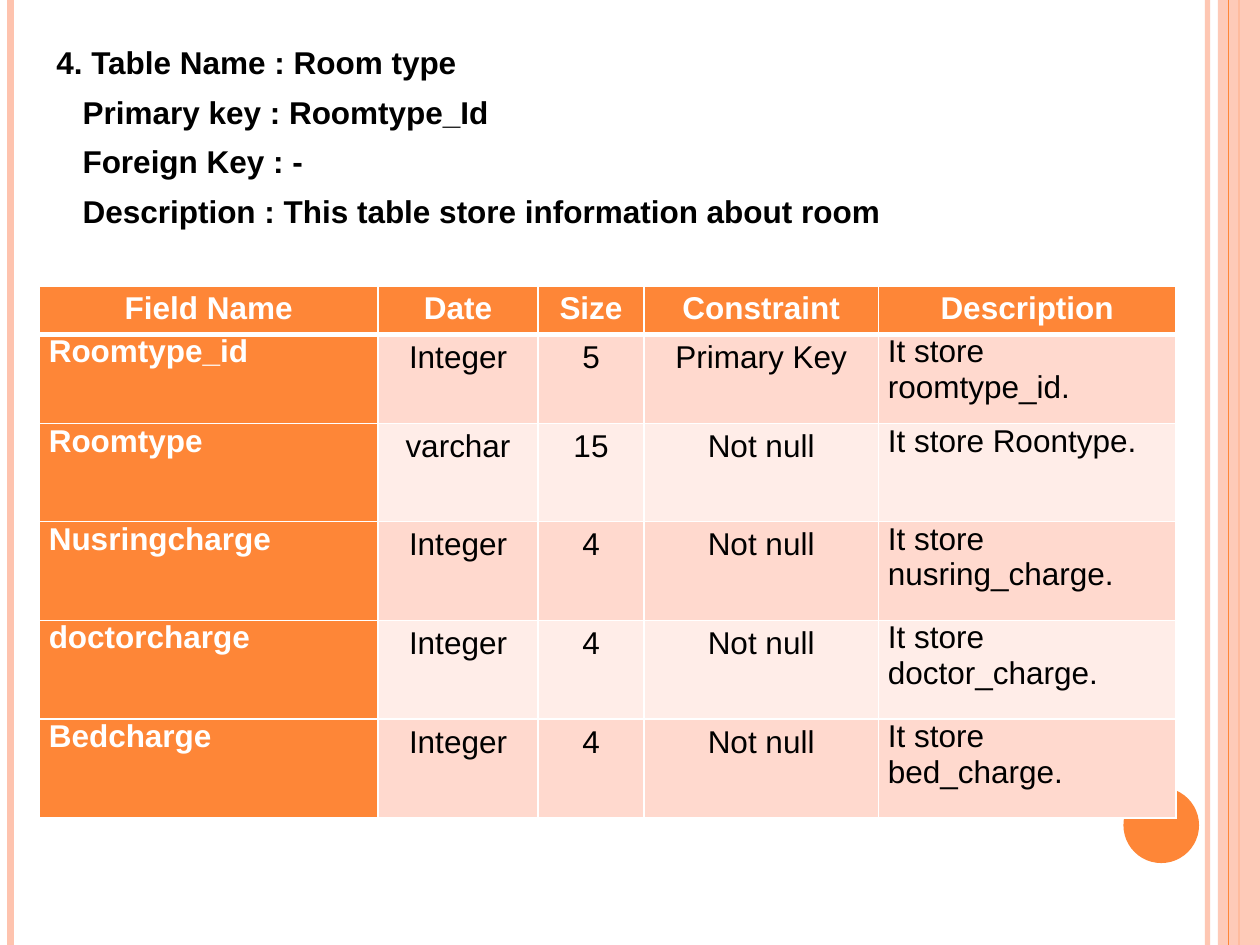
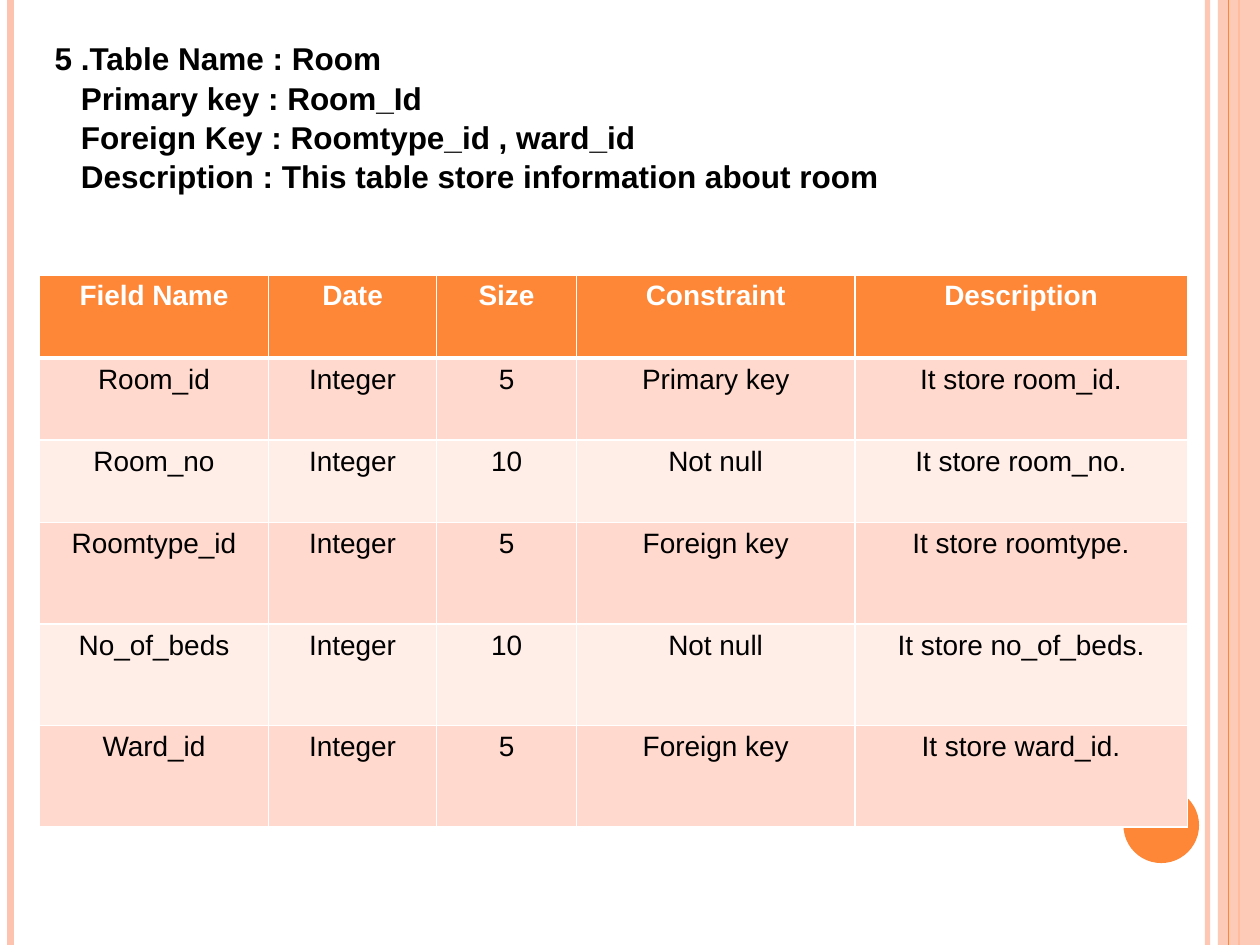
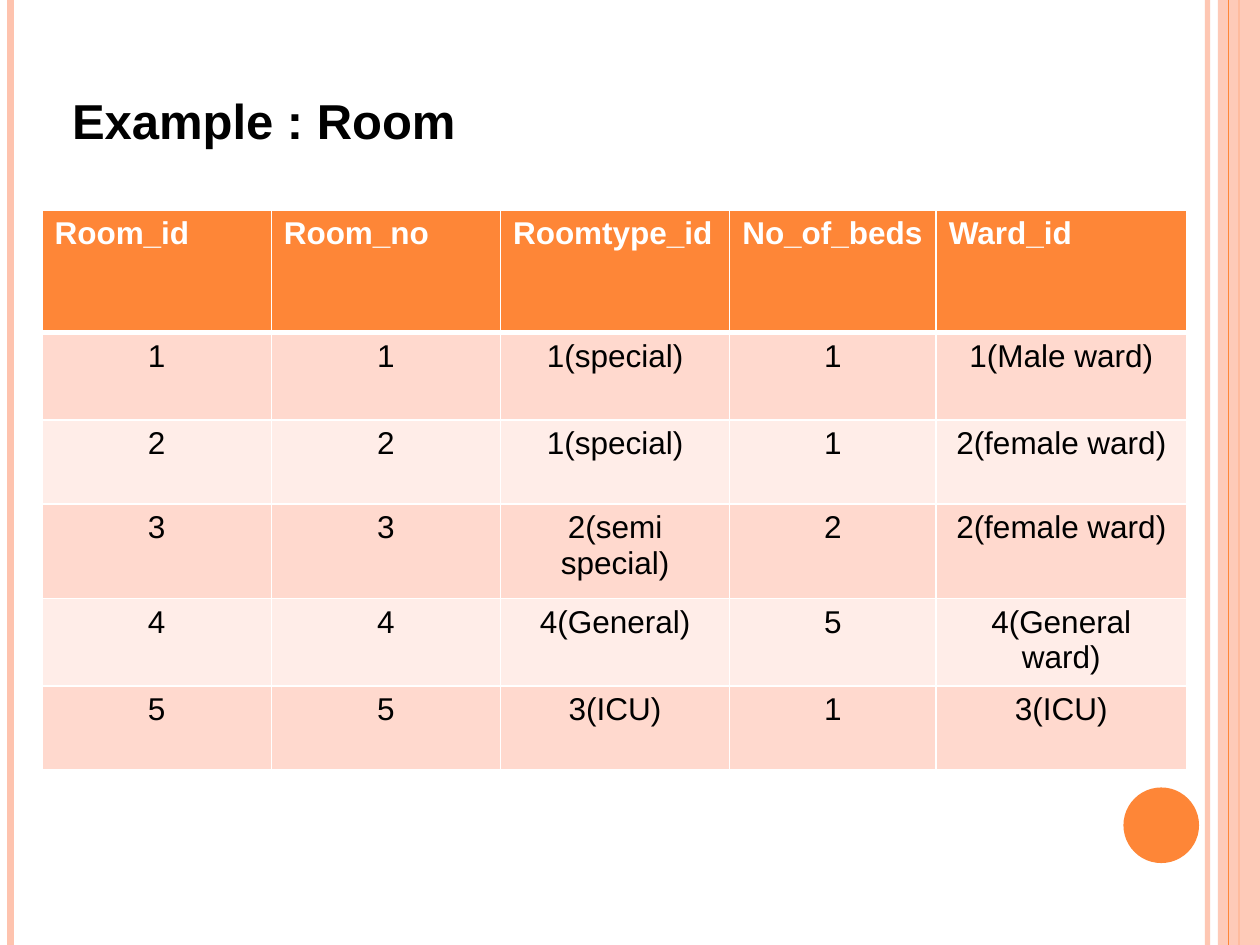
from dataclasses import dataclass

import pptx
import pptx.dml.color
import pptx.enum.shapes
import pptx.enum.text
import pptx.oxml
import pptx.oxml.ns
import pptx.presentation
import pptx.shapes.base
import pptx.slide
import pptx.table
import pptx.text.text
import pptx.util

Pt = pptx.util.Pt
RGBColor = pptx.dml.color.RGBColor
SHAPE = pptx.enum.shapes.MSO_SHAPE
ALIGN = pptx.enum.text.PP_ALIGN
qn = pptx.oxml.ns.qn

FONT = "Arial"
ORANGE = RGBColor(0xFE, 0x86, 0x37)
PEACH = RGBColor(0xFE, 0xC3, 0xAE)
BAND_DARK = RGBColor(0xFF, 0xD9, 0xCE)
BAND_LIGHT = RGBColor(0xFF, 0xED, 0xE8)
WHITE = RGBColor(0xFF, 0xFF, 0xFF)
BLACK = RGBColor(0, 0, 0)
SLIDE_WIDTH, SLIDE_HEIGHT = 720, 540
TITLE_AND_CONTENT, TITLE_ONLY = 1, 5
DETAIL_INDENT = 15


@dataclass(frozen=True)
class Rail:
    x: float
    width: float
    color: RGBColor
    opacity: int = 100


@dataclass(frozen=True)
class CellStyle:
    alignment: ALIGN = ALIGN.CENTER
    line_spacing: float = 1.0
    inset_x: float = 7.2
    inset_y: float = 3.6
    emphasized: bool = False


@dataclass(frozen=True)
class FieldTable:
    left: float
    top: float
    font_size: float
    column_widths: tuple[float, ...]
    row_heights: tuple[float, ...]
    header_style: CellStyle
    column_styles: tuple[CellStyle, ...]
    rows: tuple[tuple[str, ...], ...]


BACK_RAILS = (Rail(690, 3, PEACH, 93), Rail(6, 4.5, PEACH), Rail(708, 1.5, ORANGE))
FRONT_RAIL = Rail(702, 0.75, ORANGE)

SCHEMA_HEADER = ("Field Name", "Date", "Size", "Constraint", "Description")
SPACED = CellStyle(line_spacing=1.15, inset_x=5.4, inset_y=0)
FIELD_NAME = CellStyle(ALIGN.LEFT, inset_x=5.4, inset_y=0, emphasized=True)
DESCRIPTION = CellStyle(ALIGN.LEFT, inset_x=5.4, inset_y=0)
CENTERED = CellStyle()

ROOM_TYPE_TABLE = FieldTable(
    22.5, 163.5, 18,
    (193.5, 91.5, 60.5, 134, 170),
    (27.5, 51, 56, 56.5, 56.5, 56.5),
    CellStyle(line_spacing=1.15, inset_x=5.4, inset_y=0, emphasized=True),
    (FIELD_NAME, SPACED, SPACED, SPACED, DESCRIPTION),
    (
        SCHEMA_HEADER,
        ("Roomtype_id", "Integer", "5", "Primary Key", "It store roomtype_id."),
        ("Roomtype", "varchar", "15", "Not null", "It store Roontype."),
        ("Nusringcharge", "Integer", "4", "Not null", "It store nusring_charge."),
        ("doctorcharge", "Integer", "4", "Not null", "It store doctor_charge."),
        ("Bedcharge", "Integer", "4", "Not null", "It store bed_charge."),
    ),
)
ROOM_TABLE = FieldTable(
    22.5, 157.5, 16,
    (131, 96, 80, 159, 190),
    (47, 47, 47, 58, 58, 58),
    CellStyle(line_spacing=1.15, inset_x=5, inset_y=0, emphasized=True),
    (CENTERED,) * 5,
    (
        SCHEMA_HEADER,
        ("Room_id", "Integer", "5", "Primary key", "It store room_id."),
        ("Room_no", "Integer", "10", "Not null", "It store room_no."),
        ("Roomtype_id", "Integer", "5", "Foreign key", "It store roomtype."),
        ("No_of_beds", "Integer", "10", "Not null", "It store no_of_beds."),
        ("Ward_id", "Integer", "5", "Foreign key", "It store ward_id."),
    ),
)
ROOM_EXAMPLE = FieldTable(
    24, 120, 18,
    (131, 131, 131, 118, 143),
    (70, 50, 48, 54, 50, 48),
    CellStyle(ALIGN.LEFT, emphasized=True),
    (CENTERED,) * 5,
    (
        ("Room_id", "Room_no", "Roomtype_id", "No_of_beds", "Ward_id"),
        ("1", "1", "1(special)", "1", "1(Male ward)"),
        ("2", "2", "1(special)", "1", "2(female ward)"),
        ("3", "3", "2(semi special)", "2", "2(female ward)"),
        ("4", "4", "4(General)", "5", "4(General ward)"),
        ("5", "5", "3(ICU)", "1", "3(ICU)"),
    ),
)


def set_opacity(element, percent: int) -> None:
    color = next(element.iter(qn("a:srgbClr")))
    color.append(pptx.oxml.parse_xml(
        f'<a:alpha {pptx.oxml.ns.nsdecls("a")} val="{percent * 1000}"/>'))


def add_rail(slide: pptx.slide.Slide, rail: Rail) -> None:
    connector = slide.shapes.add_connector(
        pptx.enum.shapes.MSO_CONNECTOR.STRAIGHT,
        Pt(rail.x), Pt(0), Pt(rail.x), Pt(SLIDE_HEIGHT))
    connector.line.color.rgb = rail.color
    connector.line.width = Pt(rail.width)
    properties = connector._element.spPr
    if rail.opacity < 100:
        set_opacity(properties, rail.opacity)
    properties.append(pptx.oxml.parse_xml(
        f'<a:effectLst {pptx.oxml.ns.nsdecls("a")}/>'))


def add_filled_shape(slide: pptx.slide.Slide, kind: SHAPE, left: float, top: float,
                     width: float, height: float, color: RGBColor) -> pptx.shapes.base.BaseShape:
    shape = slide.shapes.add_shape(kind, Pt(left), Pt(top), Pt(width), Pt(height))
    shape.shadow.inherit = False
    shape.fill.solid()
    shape.fill.fore_color.rgb = color
    shape.line.fill.background()
    return shape


def add_slide(presentation: pptx.presentation.Presentation, layout: int) -> pptx.slide.Slide:
    """Add a slide with the side rails and the corner disc."""
    slide = presentation.slides.add_slide(presentation.slide_layouts[layout])
    for rail in BACK_RAILS:
        add_rail(slide, rail)
    band = add_filled_shape(slide, SHAPE.RECTANGLE, 696, 0, 24, SLIDE_HEIGHT, PEACH)
    set_opacity(band._element.spPr, 87)
    add_rail(slide, FRONT_RAIL)
    add_filled_shape(slide, SHAPE.OVAL, 642, 450, 43.2, 43.2, ORANGE)
    return slide


def style_paragraph(paragraph: pptx.text.text._Paragraph, size: float, color: RGBColor,
                    bold: bool, alignment: ALIGN) -> None:
    paragraph.alignment = alignment
    paragraph.font.name = FONT
    paragraph.font.size = Pt(size)
    paragraph.font.bold = bold
    paragraph.font.color.rgb = color


def place_text(shape: pptx.shapes.base.BaseShape, left: float, top: float, width: float,
               height: float, lines: tuple[str, ...], size: float) -> None:
    """Move a placeholder and fill it with bold black lines."""
    shape.left, shape.top = Pt(left), Pt(top)
    shape.width, shape.height = Pt(width), Pt(height)
    frame = shape.text_frame
    frame.text = "\n".join(lines)
    frame.word_wrap = True
    frame.auto_size = pptx.enum.text.MSO_AUTO_SIZE.NONE
    frame.vertical_anchor = pptx.enum.text.MSO_ANCHOR.TOP
    for paragraph in frame.paragraphs:
        style_paragraph(paragraph, size, BLACK, True, ALIGN.LEFT)


def add_summary(slide: pptx.slide.Slide, left: float, top: float, width: float, height: float,
                lines: tuple[str, ...], space_before: float) -> None:
    """Put the table's name and, indented below it, its keys and description."""
    title = slide.shapes.title._element
    title.getparent().remove(title)
    body = slide.placeholders[1]
    place_text(body, left, top, width, height, lines, 18)
    for index, paragraph in enumerate(body.text_frame.paragraphs):
        paragraph.space_before = Pt(space_before if index else 0)
        paragraph.line_spacing = 1.04
        properties = paragraph._p.get_or_add_pPr()
        properties.set("marL", str(Pt(DETAIL_INDENT if index else 0)))
        properties.set("indent", "0")
        properties.append(pptx.oxml.parse_xml(
            f'<a:buNone {pptx.oxml.ns.nsdecls("a")}/>'))


def set_borders(cell: pptx.table._Cell, row_index: int) -> None:
    """Draw white borders, heavier between the header and the first row."""
    properties = cell._tc.get_or_add_tcPr()
    widths = {"L": 1, "R": 1, "T": 3 if row_index == 1 else 1, "B": 3 if row_index == 0 else 1}
    for side, width in widths.items():
        properties.append(pptx.oxml.parse_xml(
            f'<a:ln{side} {pptx.oxml.ns.nsdecls("a")} w="{Pt(width)}">'
            f'<a:solidFill><a:srgbClr val="{WHITE}"/></a:solidFill></a:ln{side}>'))


def fill_cell(cell: pptx.table._Cell, text: str, row_index: int, size: float,
              style: CellStyle) -> None:
    set_borders(cell, row_index)
    cell.fill.solid()
    band = BAND_DARK if row_index % 2 else BAND_LIGHT
    cell.fill.fore_color.rgb = ORANGE if style.emphasized else band
    cell.margin_left = cell.margin_right = Pt(style.inset_x)
    cell.margin_top = cell.margin_bottom = Pt(style.inset_y)
    cell.text = text
    paragraph = cell.text_frame.paragraphs[0]
    paragraph.line_spacing = style.line_spacing
    style_paragraph(paragraph, size, WHITE if style.emphasized else BLACK,
                    style.emphasized, style.alignment)


def add_field_table(slide: pptx.slide.Slide, content: FieldTable) -> None:
    table = slide.shapes.add_table(
        len(content.rows), len(content.column_widths), Pt(content.left), Pt(content.top),
        Pt(sum(content.column_widths)), Pt(sum(content.row_heights))).table
    table.horz_banding = False
    for column, width in zip(table.columns, content.column_widths):
        column.width = Pt(width)
    for row, height in zip(table.rows, content.row_heights):
        row.height = Pt(height)
    for row_index, texts in enumerate(content.rows):
        for column_index, text in enumerate(texts):
            style = content.column_styles[column_index] if row_index else content.header_style
            fill_cell(table.cell(row_index, column_index), text, row_index,
                      content.font_size, style)


def main() -> None:
    presentation = pptx.Presentation()
    presentation.slide_width = Pt(SLIDE_WIDTH)
    presentation.slide_height = Pt(SLIDE_HEIGHT)

    slide = add_slide(presentation, TITLE_AND_CONTENT)
    add_summary(slide, 25, 20, 659, 452, (
        "4. Table Name : Room type",
        "Primary key : Roomtype_Id",
        "Foreign Key : -",
        "Description : This table store information about room",
    ), space_before=6)
    add_field_table(slide, ROOM_TYPE_TABLE)

    slide = add_slide(presentation, TITLE_AND_CONTENT)
    add_summary(slide, 24, 18, 516, 94, (
        "5 .Table Name : Room",
        "Primary key : Room_Id",
        "Foreign Key : Roomtype_id , ward_id",
        "Description : This table store information about room",
    ), space_before=0)
    add_field_table(slide, ROOM_TABLE)

    slide = add_slide(presentation, TITLE_ONLY)
    place_text(slide.shapes.title, 34, 48, 420, 41, ("Example : Room",), 28)
    add_field_table(slide, ROOM_EXAMPLE)

    presentation.save("out.pptx")


if __name__ == "__main__":
    main()
